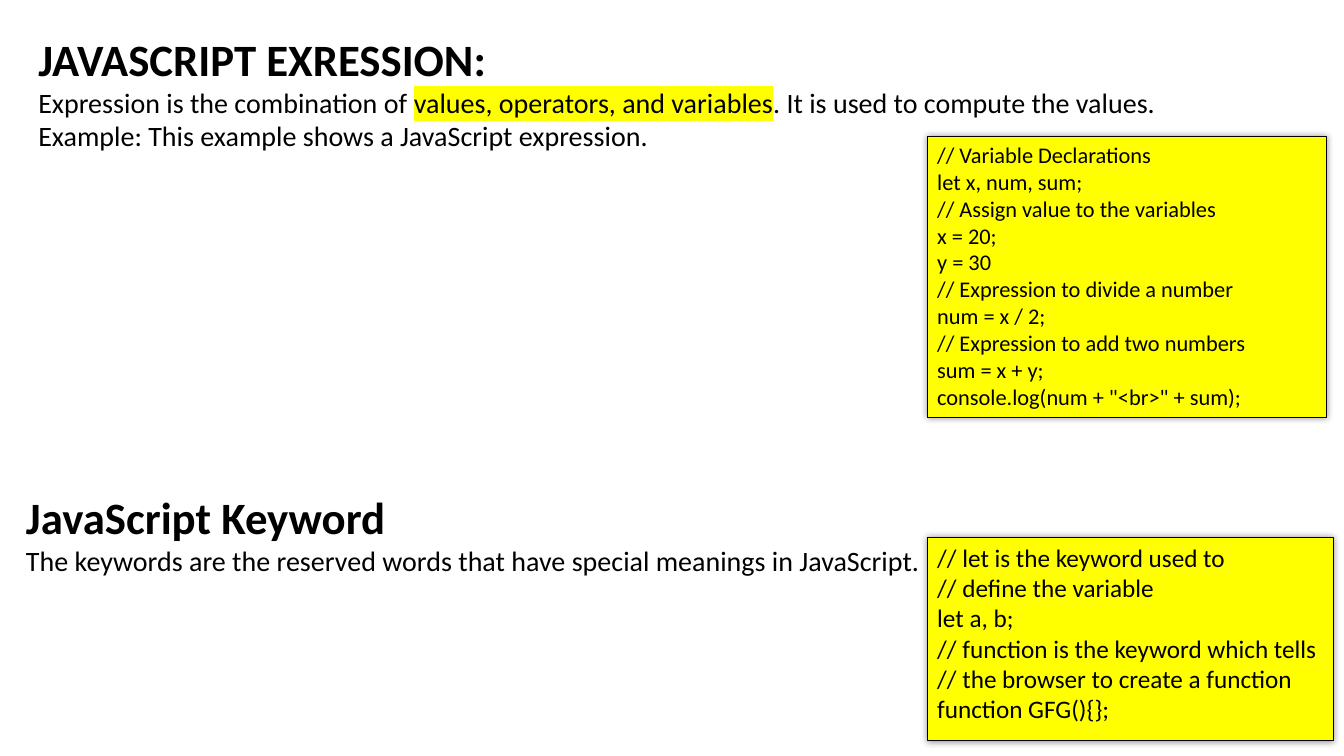
from lxml import etree
from pptx import Presentation
from pptx.dml.color import RGBColor
from pptx.enum import shapes, text
from pptx.oxml import ns
from pptx.util import Pt

BLACK, YELLOW = "000000", "FFFF00"
HEADING = {"size": Pt(32), "bold": True}
BODY = {"size": Pt(20), "bold": False}

EXPRESSION = [
    [("JAVASCRIPT EXRESSION:", HEADING, None)],
    [
        ("Expression is the combination of ", BODY, None),
        ("values, operators, and variables", BODY, YELLOW),
        (". It is used to compute the values.", BODY, None),
    ],
    [("Example: This example shows a JavaScript expression.", BODY, None)],
]
KEYWORD = [
    [("JavaScript Keyword", HEADING, None)],
    [("The keywords are the reserved words that have special meanings in JavaScript.", BODY, None)],
]
EXPRESSION_CODE = """// Variable Declarations
let x, num, sum;
// Assign value to the variables
x = 20;
y = 30
// Expression to divide a number
num = x / 2;
// Expression to add two numbers
sum = x + y;
console.log(num + "<br>" + sum);"""
KEYWORD_CODE = """// let is the keyword used to
// define the variable
let a, b;
// function is the keyword which tells
// the browser to create a function
function GFG(){};"""


def color(value):
    return RGBColor.from_string(value)


def add_element(parent, tag, **attributes):
    return etree.SubElement(parent, ns.qn(tag), attributes)


class SlideBuilder:
    font_name = "Calibri"

    def __init__(self, slide):
        self.slide = slide

    def title(self, box, paragraphs):
        shape = self.slide.shapes.title
        for name, value in zip(("left", "top", "width", "height"), box):
            setattr(shape, name, Pt(value))
        self.fill_text(shape, paragraphs)

    def text_box(self, box, paragraphs):
        self.fill_text(self.slide.shapes.add_textbox(*map(Pt, box)), paragraphs)

    def code_box(self, box, code, size, auto_size):
        shape = self.slide.shapes.add_shape(shapes.MSO_SHAPE.RECTANGLE, *map(Pt, box))
        shape.fill.solid()
        shape.fill.fore_color.rgb = color(YELLOW)
        shape.line.color.rgb = color(BLACK)
        shape.line.width = Pt(0.75)
        self.soft_shadow(shape)
        values = {"size": Pt(size)}
        self.fill_text(shape, [[(line, values, None)] for line in code.splitlines()], auto_size)

    def soft_shadow(self, shape):
        shape.shadow.inherit = False
        effects = shape._element.spPr.find(ns.qn("a:effectLst"))
        shadow = add_element(effects, "a:outerShdw", blurRad=str(Pt(5)), dist="0",
                             dir="0", algn="ctr", rotWithShape="0")
        add_element(add_element(shadow, "a:srgbClr", val=BLACK), "a:alpha", val="40000")

    def fill_text(self, shape, paragraphs, auto_size=text.MSO_AUTO_SIZE.SHAPE_TO_FIT_TEXT):
        """Fill a shape with paragraphs of (words, font values, highlight) runs."""
        frame = shape.text_frame
        frame_values = {
            "word_wrap": True,
            "auto_size": auto_size,
            "vertical_anchor": text.MSO_ANCHOR.TOP,
        }
        for name, value in frame_values.items():
            setattr(frame, name, value)
        for index, runs in enumerate(paragraphs):
            paragraph = frame.add_paragraph() if index else frame.paragraphs[0]
            paragraph.alignment = text.PP_ALIGN.LEFT
            for words, values, highlight in runs:
                run = paragraph.add_run()
                run.text = words
                for name, value in {"name": self.font_name, **values}.items():
                    setattr(run.font, name, value)
                run.font.color.rgb = color(BLACK)
                if highlight:
                    self.highlight(run, highlight)

    def highlight(self, run, value):
        properties = run._r.get_or_add_rPr()
        mark = add_element(properties, "a:highlight")
        add_element(mark, "a:srgbClr", val=value)
        properties.find(ns.qn("a:solidFill")).addnext(mark)


def main():
    presentation = Presentation()
    presentation.slide_width, presentation.slide_height = Pt(960), Pt(540)
    title_only = presentation.slide_layouts[5]
    builder = SlideBuilder(presentation.slides.add_slide(title_only))
    fit = text.MSO_AUTO_SIZE
    builder.title((20.16, 18.72, 859.68, 94.32), EXPRESSION)
    builder.code_box((662.4, 97.2, 285.12, 200.88), EXPRESSION_CODE, 16, fit.SHAPE_TO_FIT_TEXT)
    builder.text_box((11.52, 346.32, 743.76, 69.84), KEYWORD)
    builder.code_box((662.4, 383.76, 290.16, 145.44), KEYWORD_CODE, 18, fit.NONE)
    presentation.save("out.pptx")


if __name__ == "__main__":
    main()
